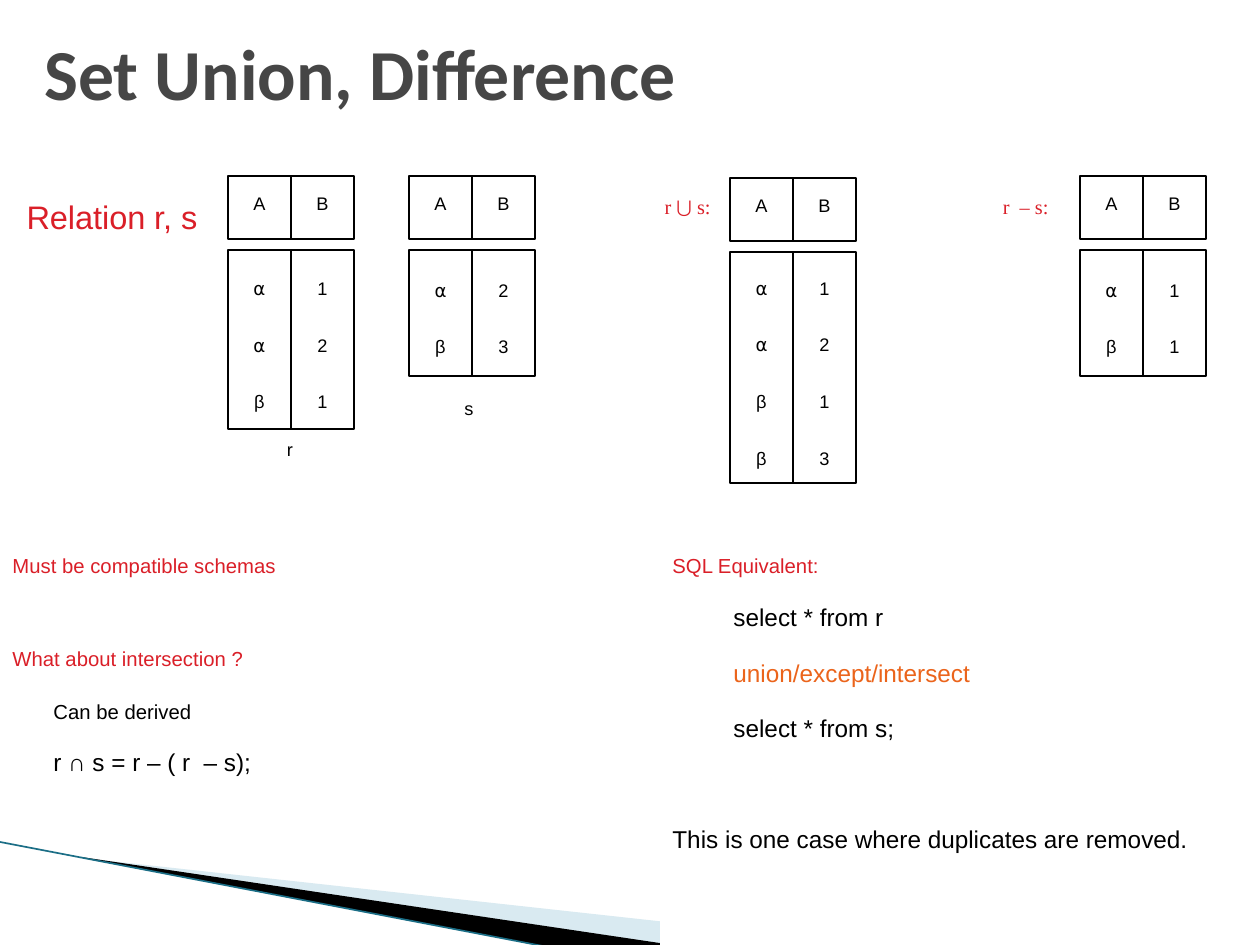
import pptx
import pptx.dml.color
import pptx.enum.shapes
import pptx.enum.text
import pptx.util
from lxml import etree
from pptx.oxml.ns import qn

RGB = pptx.dml.color.RGBColor
ALIGN = pptx.enum.text.PP_ALIGN
ANCHOR = pptx.enum.text.MSO_ANCHOR
WHITE = RGB(0xFF, 0xFF, 0xFF)
BLACK = RGB(0, 0, 0)
GREY = RGB(0x46, 0x46, 0x46)
RED = RGB(0xDA, 0x1F, 0x28)
ORANGE = RGB(0xEB, 0x64, 0x1B)
PALE_BLUE = RGB(0xA0, 0xCB, 0xDC)
TEAL = RGB(0x1B, 0x6E, 0x86)
SCALE = 914400 // 126
CELL = 63
HEADER_GAP = 11


def px(value):
    """Turn pixels into EMU."""
    return pptx.util.Emu(value * SCALE)


def write(para, text, size=18, font="Arial", color=BLACK, bold=False, raised=True,
          align=ALIGN.LEFT, spacing=None, before=0, indent=0):
    """Put formatted text into a paragraph."""
    para.alignment = align
    if spacing:
        para.line_spacing = spacing
    if before:
        para.space_before = pptx.util.Pt(before)
    if indent:
        para._p.get_or_add_pPr().set("marL", str(px(indent)))
    span = para.add_run()
    span.text = text
    span.font.size = pptx.util.Pt(size)
    span.font.name = font
    span.font.bold = bold
    span.font.color.rgb = color
    if raised:
        span._r.get_or_add_rPr().set("baseline", "30000")


def fill_frame(frame, lines, anchor=ANCHOR.TOP, wrap=True, **style):
    """Write lines, each a text with its own format, into a text frame."""
    frame.word_wrap = wrap
    frame.vertical_anchor = anchor
    for index, (text, own) in enumerate(lines):
        para = frame.add_paragraph() if index else frame.paragraphs[0]
        write(para, text, **{**style, **own})


def add_text(page, place, lines, **style):
    """Add a text box."""
    box = page.shapes.add_textbox(*map(px, place))
    fill_frame(box.text_frame, lines, **style)


def add_rect(page, place, lines, outlined=True, **style):
    """Add a white rectangle with text."""
    box = page.shapes.add_shape(pptx.enum.shapes.MSO_SHAPE.RECTANGLE, *map(px, place))
    box.shadow.inherit = False
    box.fill.solid()
    box.fill.fore_color.rgb = WHITE
    if outlined:
        box.line.color.rgb = BLACK
        box.line.width = pptx.util.Pt(0.75)
    else:
        box.line.fill.background()
    fill_frame(box.text_frame, lines, **style)


def add_relation(page, left, top, height, columns):
    """Add a relation as header cells above tall value columns."""
    style = {"anchor": ANCHOR.MIDDLE, "wrap": False, "align": ALIGN.CENTER}
    for index, (name, values) in enumerate(columns.items()):
        x = left + index * CELL
        add_rect(page, (x, top, CELL, CELL), [(name, {})], **style)
        add_rect(page, (x, top + CELL + HEADER_GAP, CELL, height),
                 [(value, {}) for value in values], spacing=1.5, **style)


def add_wedge(page, points, color, opacity=100):
    """Add a filled outline without a border."""
    builder = page.shapes.build_freeform(*points[0], scale=SCALE)
    builder.add_line_segments(points[1:], close=True)
    wedge = builder.convert_to_shape()
    wedge.shadow.inherit = False
    wedge.fill.solid()
    wedge.fill.fore_color.rgb = color
    wedge.line.fill.background()
    if opacity < 100:
        tint = wedge._element.spPr.find(qn("a:solidFill"))[0]
        etree.SubElement(tint, qn("a:alpha")).set("val", str(opacity * 1000))


def add_line(page, start, end, color):
    """Add a thin straight line."""
    line = page.shapes.add_connector(pptx.enum.shapes.MSO_CONNECTOR.STRAIGHT,
                                     *map(px, start + end))
    line.line.color.rgb = color
    line.line.width = pptx.util.Pt(0.95)
    etree.SubElement(line._element.spPr, qn("a:effectLst"))


def add_backdrop(page):
    """Add the sweeping wedges at the foot of the page."""
    add_wedge(page, [(82, 858), (885, 946), (678, 946), (83, 858)], PALE_BLUE, 40)
    add_wedge(page, [(81, 857), (679, 946), (553, 948), (82, 858)], BLACK)
    add_line(page, (0, 842), (553, 948), TEAL)


def main():
    """Build the slide and save it."""
    deck = pptx.Presentation()
    deck.slide_width, deck.slide_height = px(1260), px(945)
    page = deck.slides.add_slide(deck.slide_layouts[6])
    add_backdrop(page)
    add_text(page, (32, 21, 1166, 101), [("Set Union, Difference", {})], size=41,
             font="Calibri", color=GREY, bold=True, raised=False, anchor=ANCHOR.MIDDLE)

    centred = {"anchor": ANCHOR.MIDDLE, "wrap": False, "align": ALIGN.CENTER}
    add_text(page, (0, 195, 224, 58), [("Relation r, s", {})], size=32, color=RED, **centred)
    add_rect(page, (660, 548, 600, 397), [
        ("SQL Equivalent:", {"size": 20, "color": RED}),
        ("select * from r", {"before": 6, "indent": 61}),
        ("union/except/intersect", {"before": 6, "indent": 61, "color": ORANGE}),
        ("select * from s;", {"before": 6, "indent": 61}),
        ("This is one case where duplicates are removed.", {"before": 37}),
    ], outlined=False, size=24, spacing=0.9)

    add_relation(page, 228, 176, 179, {"A": "⍺⍺β", "B": "121"})
    add_relation(page, 409, 176, 126, {"A": "⍺β", "B": "23"})
    add_relation(page, 730, 178, 231, {"A": "⍺⍺ββ", "B": "1213"})
    add_relation(page, 1080, 176, 126, {"A": "⍺β", "B": "11"})
    add_text(page, (272, 428, 36, 50), [("r", {})], **centred)
    add_text(page, (448, 387, 42, 50), [("s", {})], **centred)
    for left, label in ((568, "r ⋃ s:"), (906, "r  – s:")):
        add_text(page, (left, 184, 155, 45), [(label, {})], size=20,
                 font="Times New Roman", color=RED, align=ALIGN.RIGHT)

    add_text(page, (0, 548, 527, 397), [
        ("Must be compatible schemas", {"color": RED}),
        ("What about intersection ?", {"color": RED, "before": 31}),
        ("Can be derived", {"before": 9, "indent": 41}),
        ("r ∩ s = r – ( r  – s);", {"before": 6, "indent": 41, "size": 24}),
    ], size=20, spacing=0.9)
    deck.save("out.pptx")


if __name__ == "__main__":
    main()
